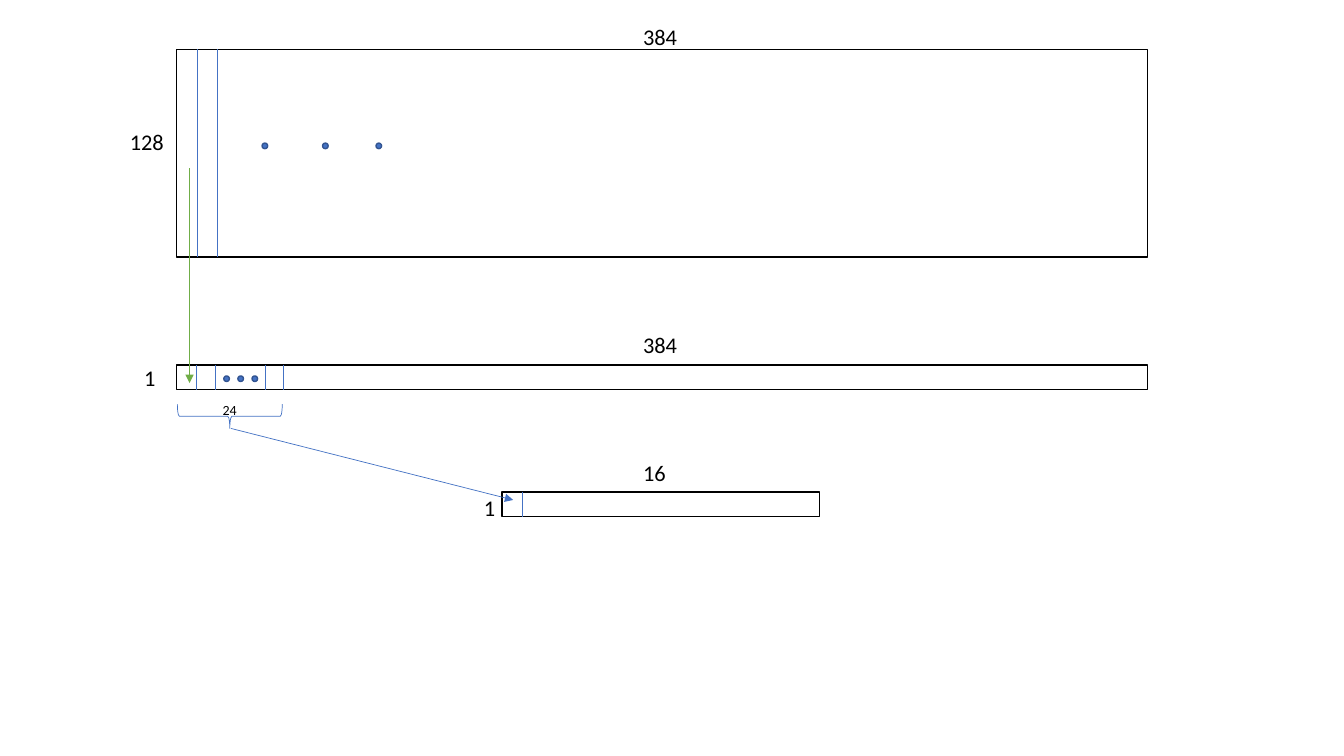
from dataclasses import dataclass

from lxml import etree
from pptx import Presentation
from pptx import util as u
from pptx.dml.color import RGBColor
from pptx.enum import shapes, text
from pptx.oxml import ns


@dataclass(frozen=True)
class Theme:
    font: str = "Calibri"
    label_size: int = 16
    small_size: int = 10
    ink: str = "000000"
    paper: str = "FFFFFF"
    blue: str = "4472C4"
    dark_blue: str = "325491"
    green: str = "70AD47"
    outline: float = 1
    hairline: float = 0.5


class Sketch:
    """Draws on one page, on a grid of square cells: 75 rows to the slide's height."""

    ROWS = 75

    def __init__(self, deck, theme):
        self.theme = theme
        self.page = deck.slides.add_slide(deck.slide_layouts[6])
        self.cell = deck.slide_height / self.ROWS

    def grid(self, *lengths):
        return [u.Emu(round(length * self.cell)) for length in lengths]

    def shape(self, kind, frame, line, width, fill=None):
        shape = self.page.shapes.add_shape(kind, *self.grid(*frame))
        shape.shadow.inherit = False
        if fill:
            shape.fill.solid()
            shape.fill.fore_color.rgb = RGBColor.from_string(fill)
        else:
            shape.fill.background()
        shape.line.color.rgb = RGBColor.from_string(line)
        shape.line.width = u.Pt(width)
        return shape

    def strip(self, *frame):
        self.shape(shapes.MSO_SHAPE.RECTANGLE, frame, self.theme.ink,
                   self.theme.outline, self.theme.paper)
        return frame

    def dots(self, lefts, top, size=0.55):
        for left in lefts:
            self.shape(shapes.MSO_SHAPE.OVAL, (left, top, size, size),
                       self.theme.dark_blue, self.theme.outline, self.theme.blue)

    def brace_below(self, left, top, width, depth):
        """A brace that opens upwards: a left brace turned about its centre."""
        shift = (width - depth) / 2
        brace = self.shape(shapes.MSO_SHAPE.LEFT_BRACE,
                           (left + shift, top - shift, depth, width),
                           self.theme.blue, self.theme.hairline)
        brace.rotation = 270

    def line(self, start, end, color, arrow=False):
        line = self.page.shapes.add_connector(
            shapes.MSO_CONNECTOR.STRAIGHT, *self.grid(*start, *end))
        line.line.color.rgb = RGBColor.from_string(color)
        line.line.width = u.Pt(self.theme.hairline)
        properties = line._element.spPr
        if arrow:
            outline = properties.find(ns.qn("a:ln"))
            etree.SubElement(outline, ns.qn("a:tailEnd"), type="triangle")
        etree.SubElement(properties, ns.qn("a:effectLst"))

    def dividers(self, strip, columns):
        top, height = strip[1], strip[3]
        for column in columns:
            self.line((column, top), (column, top + height), self.theme.blue)

    def label(self, words, left, top, width, height=3.7, size=None):
        box = self.page.shapes.add_textbox(*self.grid(left, top, width, height))
        box.text_frame.word_wrap = False
        para = box.text_frame.paragraphs[0]
        para.alignment = text.PP_ALIGN.LEFT
        span = para.add_run()
        span.text = words
        span.font.name = self.theme.font
        span.font.size = u.Pt(size or self.theme.label_size)
        span.font.color.rgb = RGBColor.from_string(self.theme.ink)


def main():
    deck = Presentation()
    deck.slide_width, deck.slide_height = u.Inches(13.33), u.Inches(7.5)
    theme = Theme()
    sketch = Sketch(deck, theme)

    matrix = sketch.strip(17.5, 4.9, 96.3, 20.6)
    vector = sketch.strip(17.5, 36.2, 96.3, 2.45)
    result = sketch.strip(49.8, 48.8, 31.5, 2.45)

    for words, left, top, width in (
        ("384", 62.8, 1.8, 5.6),
        ("384", 62.8, 32.4, 5.6),
        ("128", 11.9, 12.2, 5.6),
        ("1", 13.3, 35.6, 2.8),
        ("16", 62.8, 45.1, 4.4),
        ("1", 47, 48.5, 2.8),
    ):
        sketch.label(words, left, top, width)

    sketch.dividers(matrix, (19.6, 21.6))
    sketch.dividers(vector, (19.5, 21.4, 26.3, 28.1))
    sketch.dividers(result, (51.8,))
    sketch.dots((26, 32, 37.3), 14.2)
    sketch.dots((22.2, 23.6, 25), 37.3)

    sketch.line((18.8, 16.7), (18.8, 38), theme.green, arrow=True)
    sketch.brace_below(17.6, 40.1, 10.4, 2.4)
    sketch.line((22.9, 42.5), (50.9, 49.6), theme.blue, arrow=True)
    sketch.label("24", 21.1, 39.3, 3.6, 2.7, theme.small_size)

    deck.save("out.pptx")


if __name__ == "__main__":
    main()
